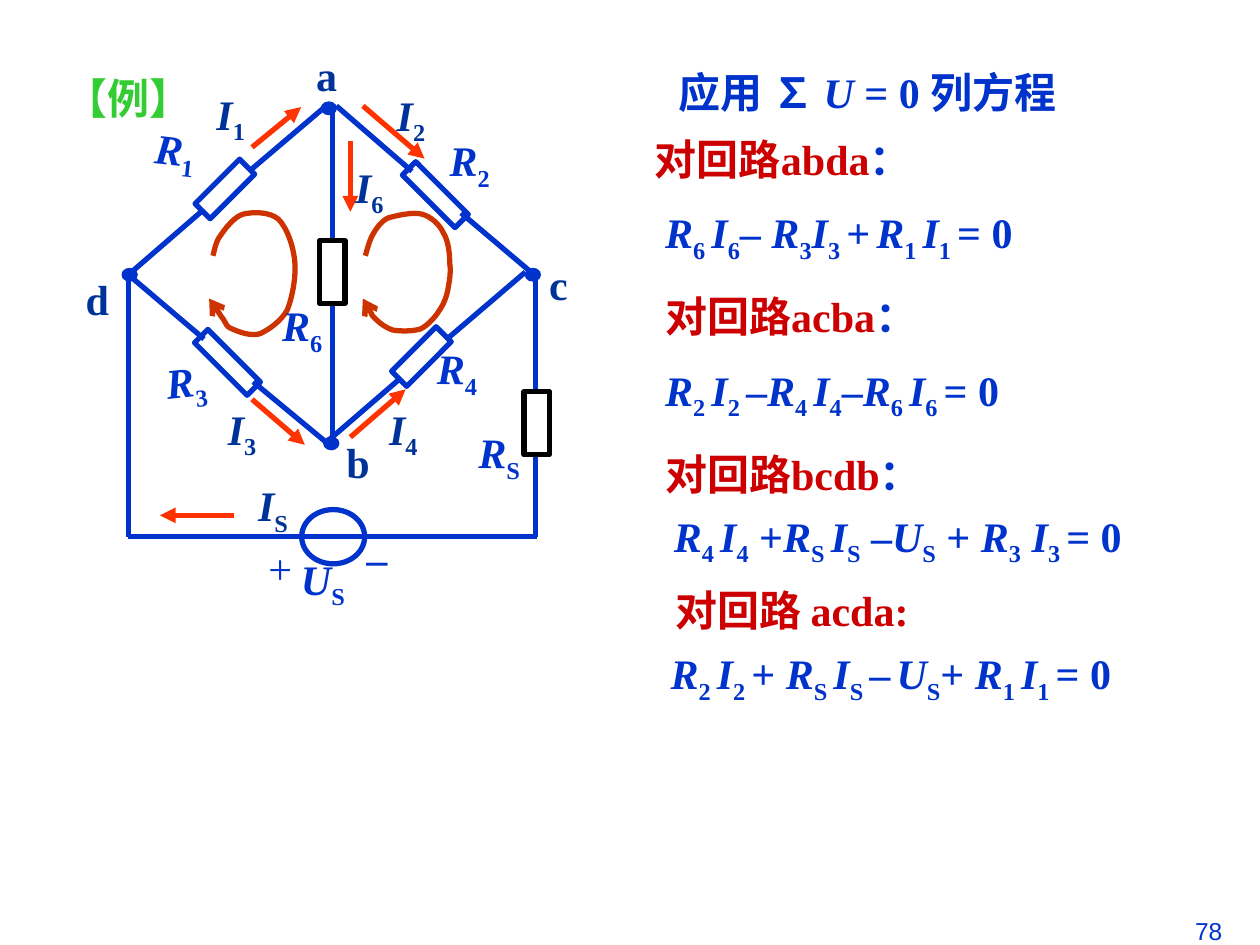
"""Build a bridge-circuit slide with its loop voltage equations."""
import dataclasses
import itertools

import lxml.etree
import pptx
import pptx.dml.color
import pptx.enum.shapes
import pptx.enum.text
import pptx.oxml.ns
import pptx.util

Pt = pptx.util.Pt
qn = pptx.oxml.ns.qn
Align = pptx.enum.text.PP_ALIGN
Anchor = pptx.enum.text.MSO_ANCHOR
Preset = pptx.enum.shapes.MSO_SHAPE


@dataclasses.dataclass(frozen=True)
class Theme:
    blue: str = "0033CC"
    navy: str = "003399"
    red: str = "CC0000"
    green: str = "33CC33"
    current: str = "FF3300"
    loop: str = "CC3300"
    black: str = "000000"
    white: str = "FFFFFF"
    serif: str = "Times New Roman"
    sans: str = "Arial"
    chinese: str = "Noto Sans CJK SC"
    text_size: int = 24
    number_size: int = 14
    stroke: float = 3
    thin_stroke: float = 0.75


THEME = Theme()

TITLE = ("应用 ∑ U = 0 列方程", 342.7, 34.2, 306, 36)
HEADINGS = [
    ("对回路abda：", 367.2, 72.7),
    ("对回路acba：", 373, 162.7),
    ("对回路bcdb：", 373, 252.7),
    ("对回路 acda:", 378.7, 330.5),
]
EQUATIONS = [
    ("R[6 ]I[6]– R[3]I[3 ]+[ ]R[1 ]I[1 ]= 0", 373, 114.5),
    ("R[2 ]I[2 ]–R[4 ]I[4]–R[6 ]I[6 ]= 0", 373, 204.5),
    ("R[4 ]I[4] +R[S ]I[S] –U[S] + R[3] I[3 ]= 0", 378, 288),
    ("R[2 ]I[2 ]+ R[S ]I[S ]–[ ]U[S]+ R[1 ]I[1 ]= 0", 376.1, 366.5),
]
NODE_LABELS = [("a", 173.5, 24.5), ("b", 190.8, 246.2), ("c", 306.7, 144), ("d", 41.8, 152.6)]
CURRENT_LABELS = [("I[1]", 116.6, 46.8), ("I[2]", 219.6, 47.5), ("I[3]", 123.1, 226.8),
                  ("I[4]", 215.3, 226.8), ("I[6]", 195.8, 88.6), ("I[S]", 140.4, 270.7)]
PART_LABELS = [
    ("R[1]", 81.4, 67, 37.4, 6.2), ("R[2]", 249.8, 73.4, 37.4, -0.3),
    ("R[3]", 87.8, 198.7, 54, -6.1), ("R[4]", 242.6, 192.2, 37.4, 0.5),
    ("R[6]", 154.1, 167.8, 37.4, 0), ("R[S]", 266.4, 240.5, 38.2, 0.5),
    ("U[S]", 164.9, 312.5, 56.2, 0), ("–", 202.3, 301, 54, 0),
]
WIRES = {
    "a to R6": (190, 60.5, 190, 137.5), "R6 to b": (190, 173.5, 190, 252),
    "c down": (306, 157, 306, 306.7), "d down": (73.4, 155.5, 73.4, 306.7),
    "source": (306.7, 306.7, 73.4, 306.7),
    "R1 to a": (144, 96.5, 187.2, 59.8), "R1 to d": (115.9, 120.2, 73.4, 157),
    "R2 to a": (235.4, 97.9, 192.2, 60.5), "R2 to c": (263.5, 121.7, 306, 157.7),
    "R3 to d": (116.6, 193.7, 73.4, 157), "R3 to b": (144.7, 218.2, 187.2, 253.4),
    "R4 to c": (256.3, 193, 300.2, 155.5), "R4 to b": (228.2, 216.7, 186.5, 252.7),
}
CURRENT_ARROWS = [(200.2, 80.6, 200.2, 121), (207.4, 60.5, 242.6, 90.7), (200.2, 249.8, 231.8, 222.5),
                  (144, 228.2, 174.2, 254.2), (144, 84.2, 172.1, 61.2), (133.9, 294.5, 91.4, 294.5)]
RESISTORS = {
    "R1": (122.4, 90, 12.2, 36, 45, THEME.blue, None), "R2": (243.4, 90, 10.8, 42.5, -45, THEME.blue, None),
    "R3": (124.6, 185.8, 10.8, 42.5, -45, THEME.blue, None),
    "R4": (234.7, 185.8, 12.2, 36, 45, THEME.blue, None),
    "R6": (182.8, 137.5, 14.4, 36, 0, THEME.black, None),
    "RS": (299.5, 223.9, 14.4, 36, 0, THEME.black, THEME.white),
}
NODES = [(183.6, 58.3), (300.2, 153.4), (69.8, 153.4), (185, 249.8)]
SOURCE = (172.4, 291.2, 36, 31)
LOOPS = [
    [(1.69, 2.03), (1.7, 2), (1.71, 1.92), (1.75, 1.87), (1.79, 1.81), (1.86, 1.72), (1.93, 1.7),
     (2.01, 1.68), (2.14, 1.68), (2.21, 1.74), (2.28, 1.81), (2.33, 1.96), (2.34, 2.08),
     (2.35, 2.2), (2.32, 2.36), (2.28, 2.46), (2.23, 2.55), (2.13, 2.62), (2.06, 2.65),
     (1.98, 2.67), (1.89, 2.63), (1.84, 2.61), (1.79, 2.59), (1.8, 2.57), (1.77, 2.53),
     (1.74, 2.49), (1.69, 2.4), (1.66, 2.37)],
    [(2.9, 2.03), (2.91, 2), (2.93, 1.91), (2.96, 1.86), (2.99, 1.81), (3.02, 1.76), (3.08, 1.73),
     (3.15, 1.71), (3.28, 1.68), (3.35, 1.7), (3.42, 1.72), (3.49, 1.78), (3.52, 1.85),
     (3.56, 1.91), (3.57, 2.02), (3.57, 2.09), (3.58, 2.16), (3.57, 2.21), (3.56, 2.27),
     (3.55, 2.34), (3.53, 2.4), (3.49, 2.46), (3.46, 2.51), (3.4, 2.58), (3.34, 2.61),
     (3.28, 2.63), (3.18, 2.63), (3.12, 2.62), (3.06, 2.6), (3.02, 2.57), (2.98, 2.53),
     (2.94, 2.49), (2.9, 2.4), (2.88, 2.37)],
]


def rgb(value):
    return pptx.dml.color.RGBColor.from_string(value)


def split_runs(markup):
    kinds = {"R": "symbol", "I": "symbol", "U": "symbol", "∑": "sum", "：": "colon"}
    subscript, marked = False, []
    for character in markup:
        if character in "[]":
            subscript = character == "["
        else:
            kind = "subscript" if subscript else kinds.get(character, "plain")
            marked.append((kind, character))
    for kind, group in itertools.groupby(marked, key=lambda pair: pair[0]):
        yield kind, "".join(character for _, character in group)


def write(shape, markup, color, size=THEME.text_size, font=THEME.serif, bold=True,
          align=Align.LEFT, wrap=True, grow=True):
    frame = shape.text_frame
    frame.word_wrap = wrap
    sizing = pptx.enum.text.MSO_AUTO_SIZE
    frame.auto_size = sizing.SHAPE_TO_FIT_TEXT if grow else sizing.NONE
    paragraph = frame.paragraphs[0]
    paragraph.alignment = align
    paragraph.font.name, paragraph.font.size = font, Pt(size)
    paragraph.font.bold, paragraph.font.color.rgb = bold, rgb(color)
    defaults = paragraph._p.pPr.find(qn("a:defRPr"))
    lxml.etree.SubElement(defaults, qn("a:ea"), typeface=THEME.chinese)
    for kind, text in split_runs(markup):
        run = paragraph.add_run()
        run.text = text
        if kind == "symbol":
            run.font.italic = True
        elif kind == "subscript":
            run._r.get_or_add_rPr().set("baseline", "-25000")
        elif kind == "sum":
            run.font.name = THEME.sans
        elif kind == "colon":
            run.font.color.rgb = rgb(THEME.blue)
    return paragraph


def add_text(slide, markup, left, top, width, height, color, rotation=0, **style):
    shape = slide.shapes.add_textbox(Pt(left), Pt(top), Pt(width), Pt(height))
    shape.rotation = rotation
    return write(shape, markup, color, **style)


def add_arrowhead(line, kind):
    lxml.etree.SubElement(line._get_or_add_ln(), qn("a:tailEnd"), type=kind)


def add_line(slide, ends, color, arrow=False):
    straight = pptx.enum.shapes.MSO_CONNECTOR.STRAIGHT
    connector = slide.shapes.add_connector(straight, *map(Pt, ends))
    connector.line.color.rgb, connector.line.width = rgb(color), Pt(THEME.stroke)
    if arrow:
        add_arrowhead(connector.line, "triangle")
    lxml.etree.SubElement(connector._element.spPr, qn("a:effectLst"))
    return connector


def paint(shape, color, fill=None, stroke=THEME.stroke):
    shape.shadow.inherit = False
    shape.line.color.rgb, shape.line.width = rgb(color), Pt(stroke)
    if fill:
        shape.fill.solid()
        shape.fill.fore_color.rgb = rgb(fill)
    else:
        shape.fill.background()


def add_preset(slide, preset, box, color, fill=None, rotation=0, stroke=THEME.stroke):
    shape = slide.shapes.add_shape(preset, *map(Pt, box))
    shape.rotation = rotation
    paint(shape, color, fill, stroke)
    return shape


def add_loop(slide, points):
    scaled = [(Pt(x * 72), Pt(y * 72)) for x, y in points]
    builder = slide.shapes.build_freeform(*scaled[0])
    builder.add_line_segments(scaled[1:], close=False)
    shape = builder.convert_to_shape()
    outline = next(shape._element.iter(qn("a:path")))
    segments = outline.findall(qn("a:lnTo"))
    for start in range(0, len(segments), 3):
        curve = lxml.etree.SubElement(outline, qn("a:cubicBezTo"))
        for segment in segments[start:start + 3]:
            curve.append(segment[0])
            outline.remove(segment)
    paint(shape, THEME.loop)
    add_arrowhead(shape.line, "arrow")


def add_circuit(slide):
    for points in LOOPS:
        add_loop(slide, points)
    wires = {name: add_line(slide, ends, THEME.blue) for name, ends in WIRES.items()}
    for ends in CURRENT_ARROWS:
        add_line(slide, ends, THEME.current, arrow=True)
    resistors = {name: add_preset(slide, Preset.RECTANGLE, box, color, fill, rotation)
                 for name, (*box, rotation, color, fill) in RESISTORS.items()}
    wires["a to R6"].end_connect(resistors["R6"], 0)
    wires["R6 to b"].begin_connect(resistors["R6"], 2)
    for left, top in NODES:
        add_preset(slide, Preset.OVAL, (left, top, 8.6, 7.2), THEME.blue, THEME.blue, stroke=THEME.thin_stroke)
    add_preset(slide, Preset.OVAL, SOURCE, THEME.blue)
    for text, left, top in NODE_LABELS + CURRENT_LABELS:
        add_text(slide, text, left, top, 54, 36, THEME.navy)
    for text, left, top, width, rotation in PART_LABELS:
        add_text(slide, text, left, top, width, 40.3, THEME.blue, rotation, wrap=width > 50)
    add_text(slide, "+", 146.2, 306.7, 54, 36, THEME.blue, bold=False)


def main():
    presentation = pptx.Presentation()
    presentation.slide_width, presentation.slide_height = Pt(720), Pt(540)
    slide = presentation.slides.add_slide(presentation.slide_layouts[5])
    title = slide.shapes.title
    text, *box = TITLE
    title.left, title.top, title.width, title.height = map(Pt, box)
    title.text_frame.vertical_anchor = Anchor.MIDDLE
    write(title, text, THEME.blue, align=Align.CENTER)
    for items, color, height in ((HEADINGS, THEME.red, 36), (EQUATIONS, THEME.blue, 40.3)):
        for text, left, top in items:
            add_text(slide, text, left, top, 720 - left, height, color)
    example = add_text(slide, "【例】", -2.9, 45.6, 152.6, 36, THEME.green, font=THEME.chinese,
                       align=Align.CENTER, grow=False)
    example.line_spacing = 0.7
    add_circuit(slide)
    add_text(slide, "78", 525.6, 519.8, 180, 37.4, THEME.blue, size=THEME.number_size,
             font=THEME.sans, bold=False, align=Align.RIGHT, grow=False)
    presentation.save("out.pptx")


if __name__ == "__main__":
    main()
